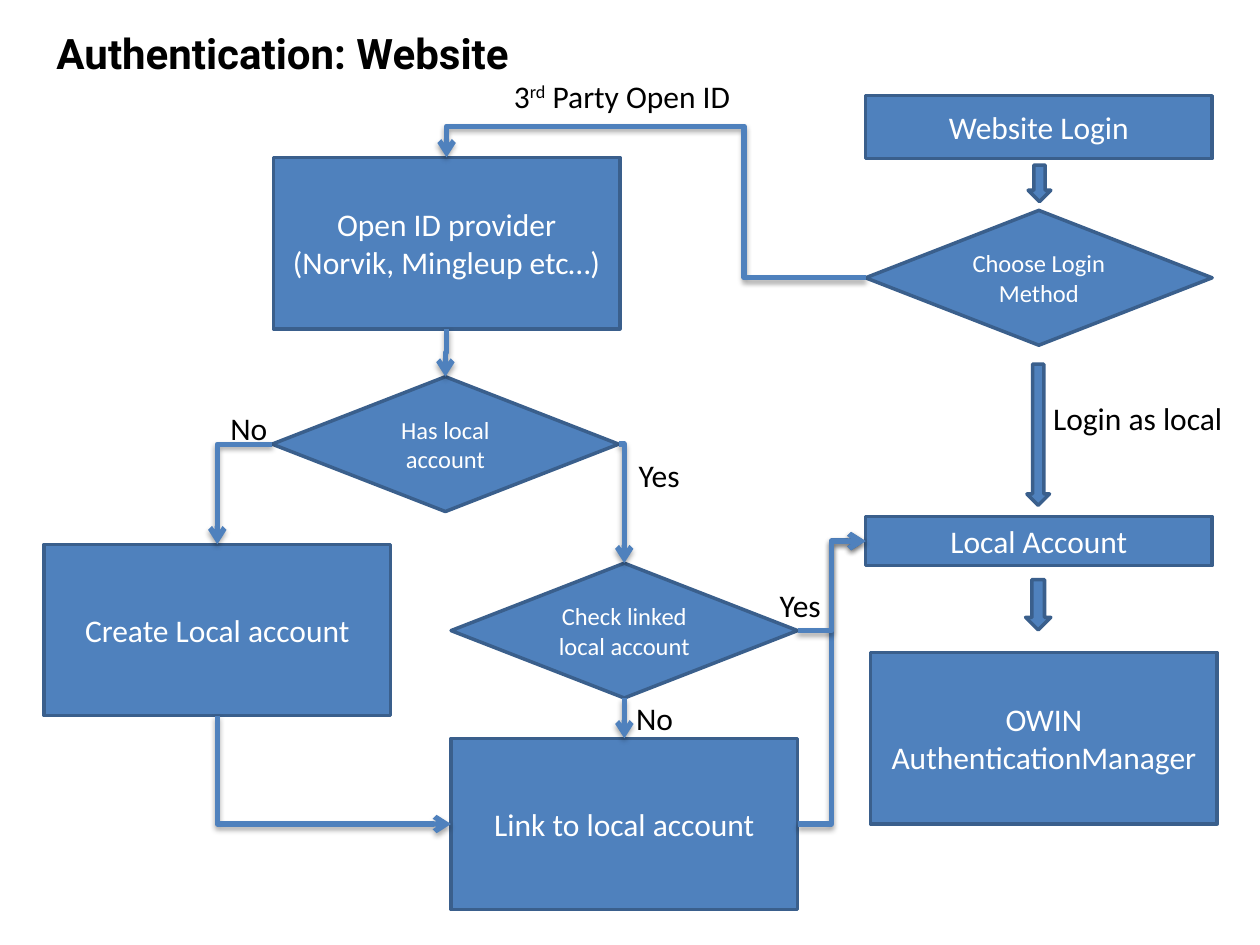
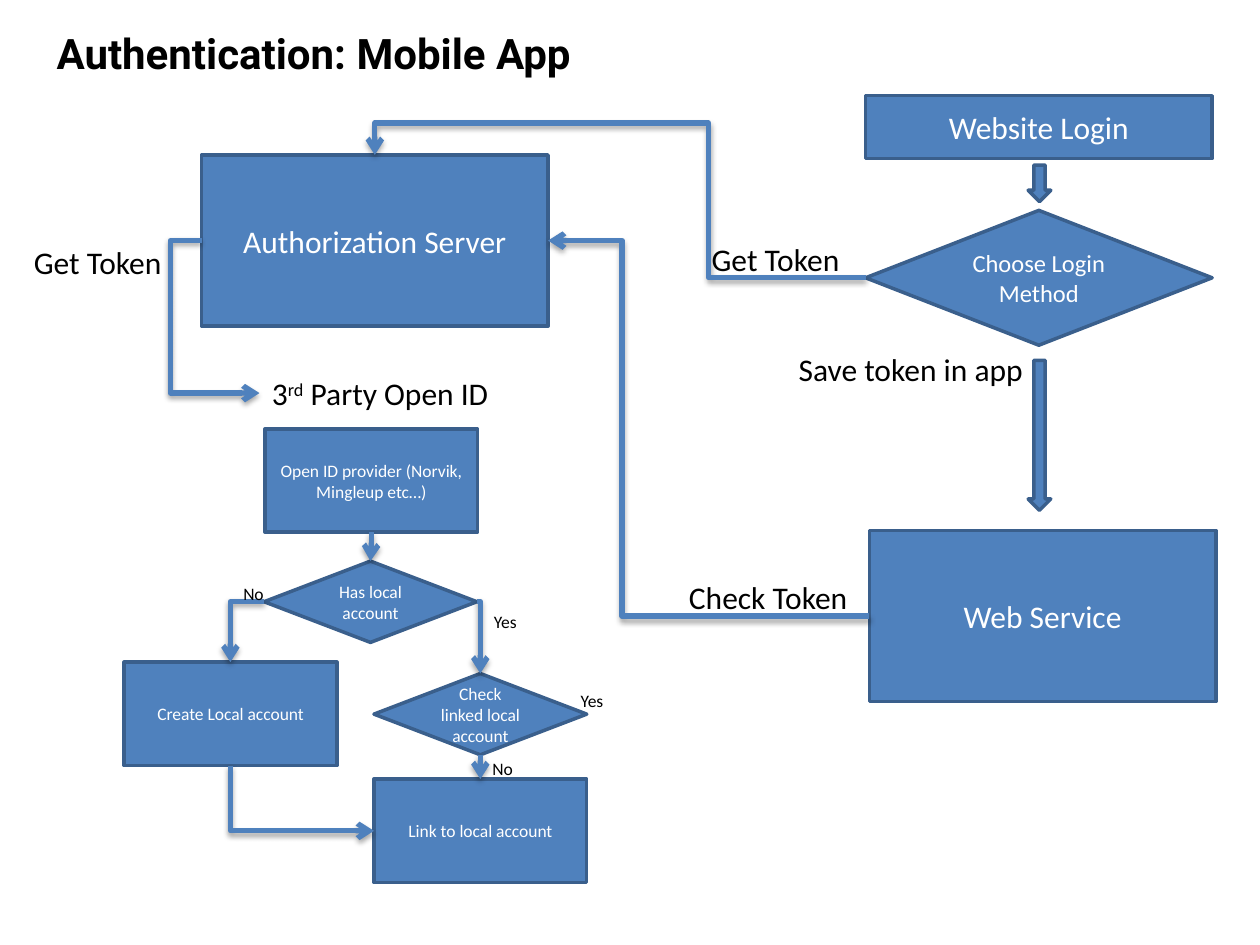
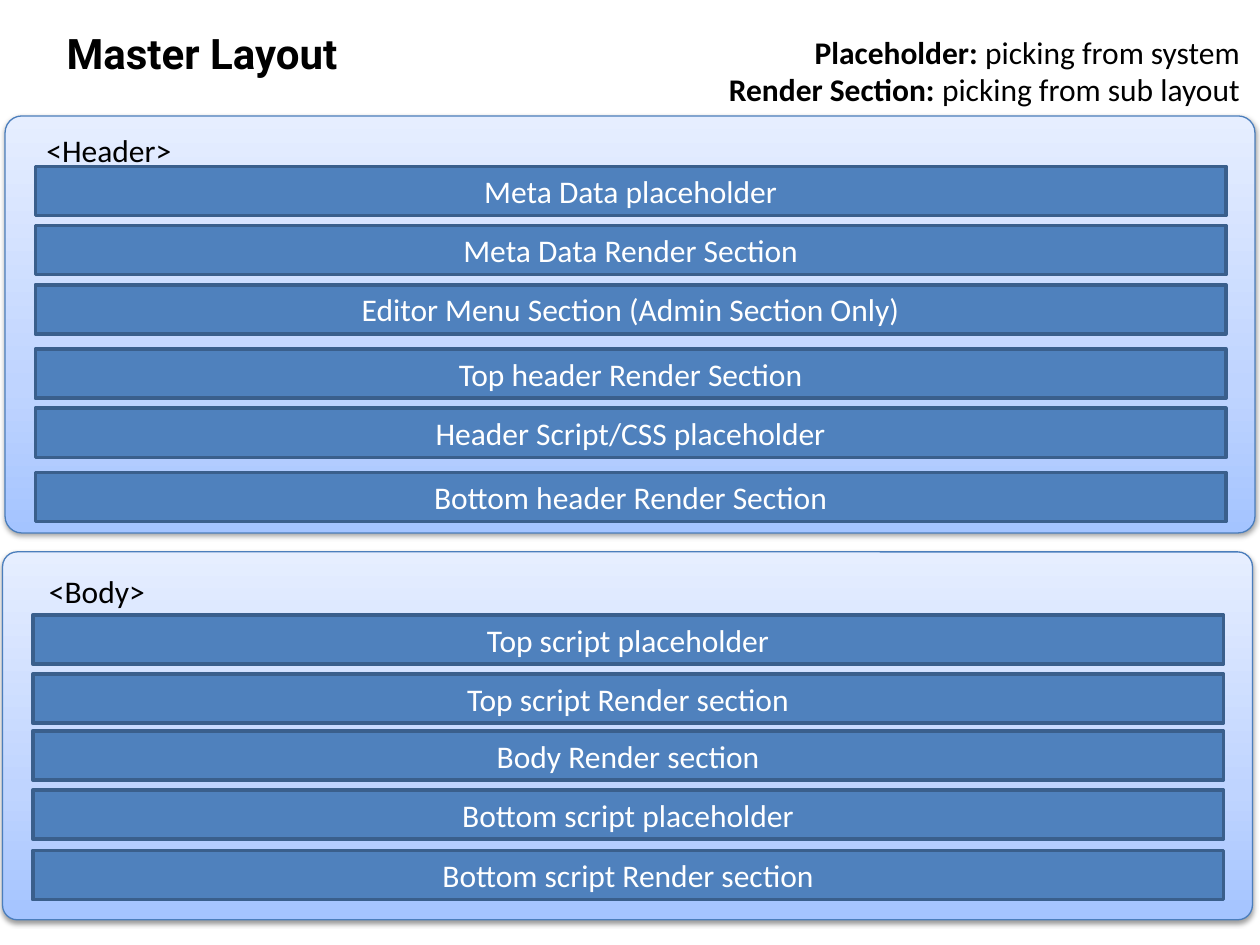
"""Build three slides: two login flow charts and a page layout scheme."""
from pptx import Presentation
from pptx.dml.color import RGBColor
from pptx.enum.shapes import MSO_CONNECTOR, MSO_SHAPE
from pptx.enum.text import MSO_ANCHOR, MSO_AUTO_SIZE, PP_ALIGN
from pptx.oxml import parse_xml
from pptx.oxml.ns import nsdecls, qn
from pptx.util import Inches, Pt

BLUE, EDGE, PANEL_EDGE = "4F81BD", "3A5F8C", "4B7EBC"
BLACK, WHITE = "000000", "FFFFFF"
PANEL_STOPS = [(0, "A4C4FF"), (35, "BFD4FF"), (100, "E6EEFF")]
BODY_FONT, TITLE_FONT = "Calibri", "Roboto"
RECT, DIAMOND, ARROW = MSO_SHAPE.RECTANGLE, MSO_SHAPE.DIAMOND, MSO_SHAPE.DOWN_ARROW
STEP, CHOICE, BAR = (2.75, 1.36), (2.75, 1.07), (2.75, 0.39)
LOGIN = (2.75, 0.5)
LABEL_HEIGHT = 0.4

OPEN_ID = [("3", {}), ("rd", {"raised": True}), (" Party Open ID", {})]

LOGIN_NODES = {
    "login": (RECT, "Website Login", 6.87, 0.76, LOGIN),
    "choose": (DIAMOND, "Choose Login Method", 6.87, 1.67, CHOICE),
}
LOGIN_ARROW = (8.16, 1.31, 0.18, 0.29)

ACCOUNT_NODES = {
    "provider": (RECT, "Open ID provider (Norvik, Mingleup etc…)", 2.17, 1.25, STEP),
    "has": (DIAMOND, "Has local account", 2.16, 2.99, CHOICE),
    "create": (RECT, "Create Local account", 0.35, 4.32, STEP),
    "check": (DIAMOND, "Check linked local account", 3.58, 4.47, CHOICE),
    "link": (RECT, "Link to local account", 3.58, 5.86, STEP),
}
ACCOUNT_LINKS = [
    ("provider", "bottom", "has", "top", (0.5,)),
    ("has", "left", "create", "top", ()),
    ("has", "right", "check", "top", ()),
    ("create", "bottom", "link", "left", ()),
    ("check", "bottom", "link", "top", (0.5,)),
]
ACCOUNT_LABELS = [("No", 1.73, 3.2), ("Yes", 4.97, 3.57), ("No", 4.95, 5.5), ("Yes", 6.09, 4.6)]

WEBSITE = {
    "title": "Authentication: Website",
    "title_width": 4.5,
    "nodes": {
        "manager": (RECT, "OWIN AuthenticationManager", 6.91, 5.18, STEP),
        "local": (RECT, "Local Account", 6.87, 4.1, BAR),
    },
    "labels": {
        "third": (OPEN_ID, 3.98, 0.56, 1.96),
        "as local": ("Login as local", 8.26, 3.12, 1.56),
    },
    "arrows": [(8.15, 2.89, 0.18, 1.12), (8.14, 4.6, 0.2, 0.4)],
    "links": [
        ("choose", "left", "provider", "top", (0.29, 1.26)),
        ("link", "right", "local", "left", (0.5,)),
        ("check", "right", "local", "left", (0.5,)),
    ],
    "account": {"origin": (0, 0), "scale": (1, 1), "sizes": (18, 14, 18), "label": (0.53, 0.4)},
}
MOBILE = {
    "title": "Authentication: Mobile App",
    "title_width": 5.02,
    "nodes": {
        "service": (RECT, "Web Service", 6.9, 4.21, STEP),
        "server": (RECT, "Authorization Server", 1.6, 1.23, STEP),
    },
    "labels": {
        "third": (OPEN_ID, 2.06, 2.92, 1.96),
        "app token": ("Get Token", 5.55, 1.86, 1.23),
        "server token": ("Get Token", 0.17, 1.88, 1.23),
        "save": ("Save token in app", 6.24, 2.73, 2),
        "check token": ("Check Token", 5.37, 4.54, 1.47),
    },
    "arrows": [(8.16, 2.86, 0.18, 1.19)],
    "links": [
        ("choose", "left", "server", "top", (0.32, 1.26)),
        ("server", "left", "third", "left", (-0.54,)),
        ("service", "left", "server", "right", (0.77,)),
    ],
    "account": {"origin": (0.77, 2.65), "scale": (0.614, 0.603), "sizes": (10, 10, 10),
                "label": (0.48, 0.33)},
}

LEGEND = [
    [("Placeholder: ", {"bold": True}), ("picking from system", {})],
    [("Render Section: ", {"bold": True}), ("picking from sub layout", {})],
]
PANELS = [
    {"at": (0.02, 4.38, 9.92, 2.92), "tag": ("<Body>", 0.29, 4.49, 0.97), "left": 0.26,
     "bars": [("Top script placeholder", 4.88), ("Top script Render section", 5.35),
              ("Body Render section", 5.8), ("Bottom script placeholder", 6.27),
              ("Bottom script Render section", 6.75)]},
    {"at": (0.04, 0.92, 9.92, 3.31), "tag": ("<Header>", 0.27, 0.99, 1.21), "left": 0.28,
     "bars": [("Meta Data placeholder", 1.32), ("Meta Data Render Section", 1.79),
              ("Editor Menu Section (Admin Section Only)", 2.26),
              ("Top header Render Section", 2.77), ("Header Script/CSS placeholder", 3.24),
              ("Bottom header Render Section", 3.75)]},
]
BAR_SIZE = (9.45, 0.39)


def color(value):
    return RGBColor.from_string(value)


def write(box, lines, size=18, font=BODY_FONT, ink=BLACK, bold=False, align=PP_ALIGN.LEFT):
    """Fill a frame with lines; a line is a string or a list of (text, format)."""
    for index, line in enumerate(lines):
        frame = box.text_frame
        para = frame.add_paragraph() if index else frame.paragraphs[0]
        para.alignment = align
        for words, look in [(line, {})] if isinstance(line, str) else line:
            span = para.add_run()
            span.text = words
            span.font.size, span.font.name = Pt(size), font
            span.font.bold = look.get("bold", bold)
            span.font.color.rgb = color(ink)
            if look.get("raised"):
                span._r.get_or_add_rPr().set("baseline", "30000")


def add_label(shapes, lines, at, **look):
    box = shapes.add_textbox(*map(Inches, at))
    box.text_frame.word_wrap = False
    box.text_frame.auto_size = MSO_AUTO_SIZE.SHAPE_TO_FIT_TEXT
    write(box, lines, **look)


def add_box(shapes, kind, at, text="", size=18):
    box = shapes.add_shape(kind, *map(Inches, at))
    box.shadow.inherit = False
    box.fill.solid()
    box.fill.fore_color.rgb = color(BLUE)
    box.line.color.rgb = color(EDGE)
    box.line.width = Pt(2)
    box.text_frame.word_wrap = True
    box.text_frame.vertical_anchor = MSO_ANCHOR.MIDDLE
    if text:
        write(box, [text], size=size, ink=WHITE, align=PP_ALIGN.CENTER)


def add_shadow(shape, distance, alpha):
    shape._element.spPr.append(parse_xml(
        f'<a:effectLst {nsdecls("a")}><a:outerShdw blurRad="{Pt(3.1)}" dist="{Pt(distance)}" '
        f'dir="5400000" rotWithShape="0"><a:srgbClr val="{BLACK}"><a:alpha val="{alpha}000"/>'
        '</a:srgbClr></a:outerShdw></a:effectLst>'))


def anchor(at, side):
    left, top, width, height = at
    across, down = {"left": (0, 0.5), "right": (1, 0.5), "top": (0.5, 0), "bottom": (0.5, 1)}[side]
    return left + across * width, top + down * height


def add_elbow(shapes, start, end, bends, downward):
    """Draw a bent arrow; bends are the shares of the span where it turns."""
    elbow = shapes.add_connector(MSO_CONNECTOR.ELBOW, *map(Inches, start + end))
    elbow.line.color.rgb = color(BLUE)
    elbow.line.width = Pt(3)
    elbow.line._get_or_add_ln().append(parse_xml(f'<a:tailEnd {nsdecls("a")} type="arrow"/>'))
    add_shadow(elbow, 1.8, 35)
    properties = elbow._element.spPr
    geometry = properties.find(qn("a:prstGeom"))
    geometry.set("prst", f"bentConnector{len(bends) + 2}")
    guides = "".join(f'<a:gd name="adj{number}" fmla="val {round(share * 100000)}"/>'
                     for number, share in enumerate(bends, 1))
    for child in list(geometry):
        geometry.remove(child)
    geometry.append(parse_xml(f'<a:avLst {nsdecls("a")}>{guides}</a:avLst>'))
    if downward:
        run, drop = end[0] - start[0], end[1] - start[1]
        elbow.left = Inches((start[0] + end[0] - drop) / 2)
        elbow.top = Inches((start[1] + end[1] - abs(run)) / 2)
        elbow.width, elbow.height = Inches(drop), Inches(abs(run))
        frame = properties.find(qn("a:xfrm"))
        frame.set("rot", "5400000")
        frame.set("flipH", "0")
        frame.set("flipV", "1" if run > 0 else "0")


def add_links(shapes, links, places):
    for source, exit_side, target, entry_side, bends in links:
        add_elbow(shapes, anchor(places[source], exit_side), anchor(places[target], entry_side),
                  bends, exit_side == "bottom")


def add_nodes(shapes, nodes, origin=(0, 0), scale=(1, 1), sizes=(18, 14)):
    places = {}
    for name, (kind, text, left, top, (width, height)) in nodes.items():
        places[name] = (origin[0] + left * scale[0], origin[1] + top * scale[1],
                        width * scale[0], height * scale[1])
        add_box(shapes, kind, places[name], text, sizes[kind == DIAMOND])
    return places


def add_account(shapes, origin, scale, sizes, label):
    """Draw the local account part of the flow at a given place and scale."""
    places = add_nodes(shapes, ACCOUNT_NODES, origin, scale, sizes)
    add_links(shapes, ACCOUNT_LINKS, places)
    for text, left, top in ACCOUNT_LABELS:
        corner = (origin[0] + left * scale[0], origin[1] + top * scale[1])
        add_label(shapes, [text], corner + label, size=sizes[2])
    return places


def add_page(deck, title, left, width):
    page = deck.slides.add_slide(deck.slide_layouts[6])
    add_label(page.shapes, [title], (left, 0.17, width, 0.5), size=24, font=TITLE_FONT, bold=True)
    return page.shapes


def add_flow(deck, flow):
    shapes = add_page(deck, flow["title"], 0.35, flow["title_width"])
    places = add_nodes(shapes, LOGIN_NODES | flow["nodes"])
    scaled = flow["account"]["scale"] != (1, 1)
    places |= add_account(shapes.add_group_shape().shapes if scaled else shapes, **flow["account"])
    for at in [LOGIN_ARROW] + flow["arrows"]:
        add_box(shapes, ARROW, at)
    for name, (line, left, top, width) in flow["labels"].items():
        places[name] = (left, top, width, LABEL_HEIGHT)
        add_label(shapes, [line], places[name])
    add_links(shapes, flow["links"], places)


def add_panel(shapes, at, tag, left, bars):
    panel = shapes.add_shape(MSO_SHAPE.ROUNDED_RECTANGLE, *map(Inches, at))
    panel.adjustments[0] = 0.04
    panel.fill.background()
    panel.line.color.rgb = color(PANEL_EDGE)
    panel.line.width = Pt(0.75)
    stops = "".join(f'<a:gs pos="{share}000"><a:srgbClr val="{tint}"/></a:gs>'
                    for share, tint in PANEL_STOPS)
    properties = panel._element.spPr
    properties.replace(properties.find(qn("a:noFill")), parse_xml(
        f'<a:gradFill {nsdecls("a")} rotWithShape="1"><a:gsLst>{stops}</a:gsLst>'
        '<a:lin ang="16200000" scaled="0"/></a:gradFill>'))
    add_shadow(panel, 1.6, 38)
    text, tag_left, tag_top, tag_width = tag
    add_label(shapes, [text], (tag_left, tag_top, tag_width, LABEL_HEIGHT))
    for text, top in bars:
        add_box(shapes, RECT, (left, top) + BAR_SIZE, text)


deck = Presentation()
deck.slide_width, deck.slide_height = Inches(10), Inches(7.5)
for flow in (WEBSITE, MOBILE):
    add_flow(deck, flow)
layout = add_page(deck, "Master Layout", 0.43, 2.86)
add_label(layout, LEGEND, (5.67, 0.21, 4.27, 0.71), align=PP_ALIGN.RIGHT)
for panel in PANELS:
    add_panel(layout.add_group_shape().shapes, **panel)
deck.save("out.pptx")
